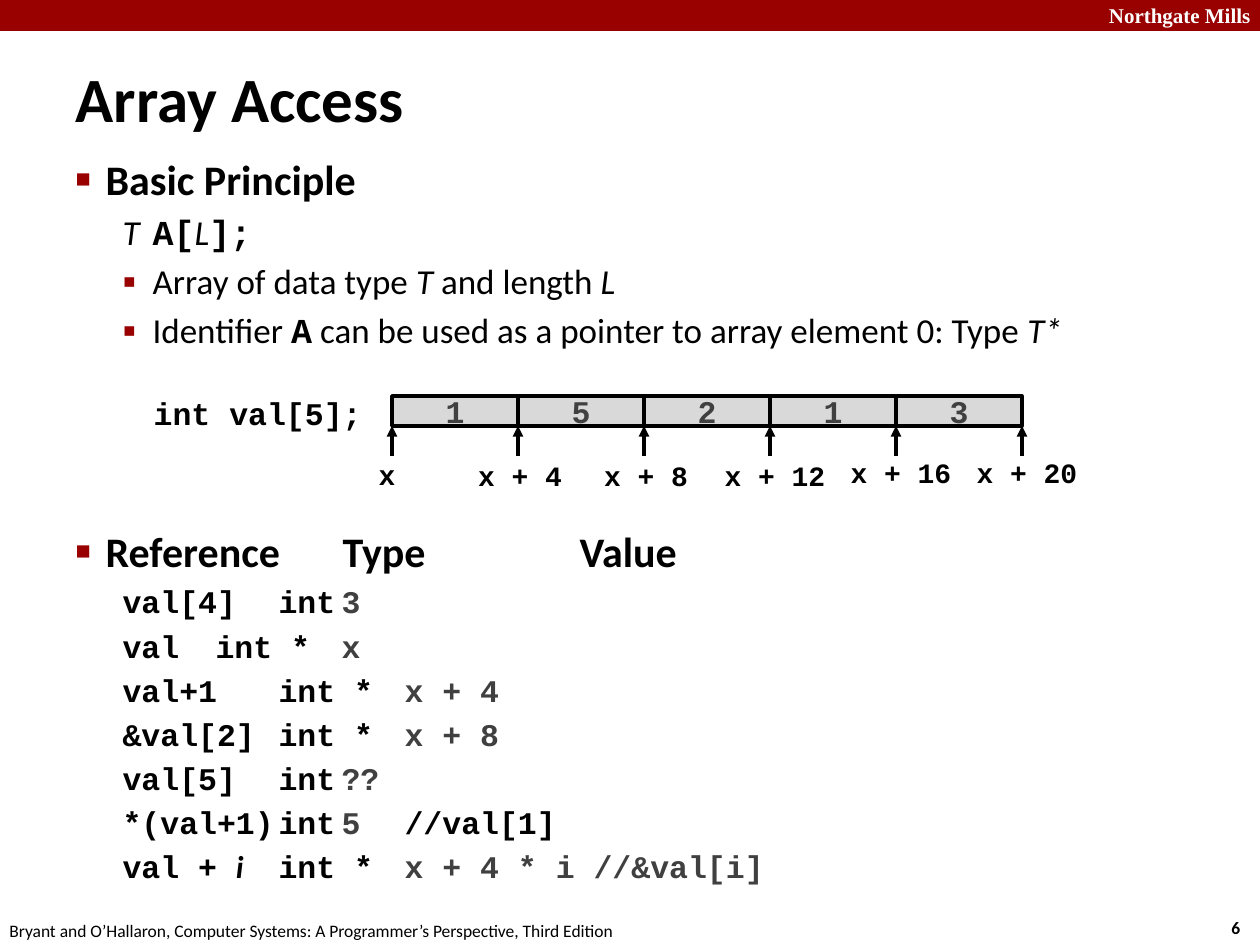
from dataclasses import dataclass

from lxml.etree import SubElement
from pptx import Presentation
from pptx.dml.color import RGBColor
from pptx.enum.shapes import MSO_CONNECTOR as Connector, MSO_SHAPE as Preset
from pptx.enum.text import MSO_ANCHOR as Anchor, MSO_AUTO_SIZE as AutoSize, PP_ALIGN as Align
from pptx.oxml.ns import qn
from pptx.util import Emu, Pt

SCALE = 914400 / 126


def px(length):
    return Emu(round(length * SCALE))


@dataclass(frozen=True)
class Theme:
    black: str = "000000"
    white: str = "FFFFFF"
    accent: str = "990000"
    answer: str = "404040"
    cell: str = "D9D9D9"
    sans: str = "Calibri"
    mono: str = "Courier New"
    serif: str = "Times New Roman"
    title: int = 36
    heading: int = 24
    point: int = 20
    code: int = 18
    address: int = 16
    header: int = 12
    footer: int = 10
    line: int = 2


@dataclass(frozen=True)
class Box:
    left: int
    top: int
    width: int
    height: int

    def inner(self, left, top, width, height):
        return Box(self.left + left, self.top + top, width, height)

    def emu(self):
        return [px(length) for length in (self.left, self.top, self.width, self.height)]


THEME = Theme()
SANS = (THEME.sans, False, False, THEME.black)
ITALIC = (THEME.sans, False, True, THEME.black)
BOLD = (THEME.sans, True, False, THEME.black)
BOLD_ITALIC = (THEME.sans, True, True, THEME.black)
CODE = (THEME.mono, True, False, THEME.black)
ANSWER = (THEME.mono, True, False, THEME.answer)
HEADER = (THEME.serif, True, False, THEME.white)

HEADING_BULLET = ("■", 60)
POINT_BULLET = ("▪", 110)
COLUMN_TABS = (267, 504)
ROW_TABS = (201, 325, 513)
REFERENCE_GAP = 100

POINTS = [
    (None, [("T\t", ITALIC), ("A[", CODE), ("L", ITALIC), ("];", CODE)]),
    (POINT_BULLET, [("Array of data type ", SANS), ("T", ITALIC),
                    (" and length ", SANS), ("L", ITALIC)]),
    (POINT_BULLET, [("Identifier ", SANS), ("A", CODE),
                    (" can be used as a pointer to array element 0: Type ", SANS),
                    ("T*", ITALIC)]),
]
REFERENCES = [
    [("val[4]\tint\t", CODE), ("3", ANSWER)],
    [("val\tint *\t", CODE), ("x", ANSWER)],
    [("val+1\tint *\t", CODE), ("x + 4", ANSWER)],
    [("&val[2]\tint *\t", CODE), ("x + 8", ANSWER)],
    [("val[5]\tint\t", CODE), ("??", ANSWER)],
    [("*(val+1)\tint\t", CODE), ("5", ANSWER), ("\t//val[1]", CODE)],
    [("val + ", CODE), ("i\t", BOLD_ITALIC), ("int *\t", CODE),
     ("x + 4 * i //&val[i]", ANSWER)],
]
VALUES = ["1", "5", "2", "1", "3"]
ADDRESSES = [("x", -5, 55), ("x + 4", 2, 56), ("x + 8", 2, 56),
             ("x + 12", 5, 56), ("x + 16", 5, 53), ("x + 20", 5, 53)]


def format_run(run, style, size):
    font = run.font
    font.name, font.bold, font.italic, color = style
    font.size = Pt(size)
    font.color.rgb = RGBColor.from_string(color)


def set_text(frame, text, style, size, align=Align.LEFT):
    frame.text = text
    paragraph = frame.paragraphs[0]
    paragraph.alignment = align
    format_run(paragraph.runs[0], style, size)


def add_label(shapes, box, text, style, size, align=Align.LEFT):
    shape = shapes.add_textbox(*box.emu())
    shape.text_frame.word_wrap = True
    set_text(shape.text_frame, text, style, size, align)


def add_rectangle(shapes, box, fill):
    shape = shapes.add_shape(Preset.RECTANGLE, *box.emu())
    shape.shadow.inherit = False
    shape.fill.solid()
    shape.fill.fore_color.rgb = RGBColor.from_string(fill)
    return shape


def add_arrow(shapes, x, start, end):
    arrow = shapes.add_connector(Connector.STRAIGHT, px(x), px(start), px(x), px(end))
    arrow.line.color.rgb = RGBColor.from_string(THEME.black)
    arrow.line.width = Pt(THEME.line)
    SubElement(arrow.line._get_or_add_ln(), qn("a:tailEnd"), type="triangle")
    SubElement(arrow._element.spPr, qn("a:effectLst"))


def format_paragraph(paragraph, level, bullet, tabs, gap):
    paragraph.level = level
    properties = paragraph._p.get_or_add_pPr()
    properties.set("marL", str(px(77 if level else 30)))
    properties.set("indent", str(-px(30)))
    before = SubElement(properties, qn("a:spcBef"))
    if gap:
        SubElement(before, qn("a:spcPts"), val=str(gap * 100))
    else:
        SubElement(before, qn("a:spcPct"), val="20000")
    if bullet:
        character, percent = bullet
        color = SubElement(properties, qn("a:buClr"))
        SubElement(color, qn("a:srgbClr"), val=THEME.accent)
        SubElement(properties, qn("a:buSzPct"), val=str(percent * 1000))
        SubElement(properties, qn("a:buChar"), char=character)
    else:
        SubElement(properties, qn("a:buNone"))
    if tabs:
        stops = SubElement(properties, qn("a:tabLst"))
        for tab in tabs:
            SubElement(stops, qn("a:tab"), pos=str(px(tab)), algn="l")


def add_line(frame, parts, size, level=1, bullet=None, tabs=(), gap=0):
    paragraph = frame.paragraphs[0]
    if paragraph.runs:
        paragraph = frame.add_paragraph()
    format_paragraph(paragraph, level, bullet, tabs, gap)
    for text, style in parts:
        run = paragraph.add_run()
        run.text = text
        format_run(run, style, size)


def place_header(slide, box):
    bar = add_rectangle(slide.shapes, box, THEME.accent)
    bar.line.fill.background()
    add_label(slide.shapes, box.inner(1063, -4, 200, 38), "Northgate Mills",
              HEADER, THEME.header, Align.RIGHT)


def place_footer(slide, box):
    add_label(slide.shapes, box.inner(1219, 0, 47, 34), "6", BOLD, THEME.footer)
    add_label(slide.shapes, box.inner(-3, 3, 660, 34),
              "Bryant and O’Hallaron, Computer Systems: A Programmer’s Perspective, Third Edition",
              SANS, THEME.footer)


def place_title(slide, box):
    title = slide.shapes.title
    title.left, title.top, title.width, title.height = box.emu()
    frame = title.text_frame
    frame.auto_size = AutoSize.NONE
    frame.vertical_anchor = Anchor.MIDDLE
    set_text(frame, "Array Access", BOLD, THEME.title)


def place_body(slide, box):
    body = slide.placeholders[1]
    body.left, body.top, body.width, body.height = box.emu()
    frame = body.text_frame
    frame.auto_size = AutoSize.NONE
    frame.vertical_anchor = Anchor.TOP
    add_line(frame, [("Basic Principle", BOLD)], THEME.heading, 0, HEADING_BULLET)
    for bullet, parts in POINTS:
        add_line(frame, parts, THEME.point, bullet=bullet)
    add_line(frame, [("Reference\tType\tValue", BOLD)], THEME.heading, 0,
             HEADING_BULLET, COLUMN_TABS, REFERENCE_GAP)
    for parts in REFERENCES:
        add_line(frame, parts, THEME.code, tabs=ROW_TABS)


def place_array(slide, box):
    add_label(slide.shapes, box.inner(-252, -8, 234, 50), "int val[5];",
              CODE, THEME.code, Align.RIGHT)
    shapes = slide.shapes.add_group_shape().shapes
    step = box.width // len(VALUES)
    for index, value in enumerate(VALUES):
        cell = add_rectangle(shapes, box.inner(index * step, 0, step, box.height), THEME.cell)
        cell.line.color.rgb = RGBColor.from_string(THEME.black)
        cell.line.width = Pt(THEME.line)
        frame = cell.text_frame
        frame.word_wrap = False
        frame.vertical_anchor = Anchor.MIDDLE
        set_text(frame, value, ANSWER, THEME.code, Align.CENTER)
    for index, (address, shift, top) in enumerate(ADDRESSES):
        edge = index * step
        add_label(shapes, box.inner(edge + shift - 68, top, 136, 47), address,
                  CODE, THEME.address, Align.CENTER)
        add_arrow(shapes, box.left + edge, box.top + 60, box.top + box.height)


def main():
    presentation = Presentation()
    presentation.slide_width, presentation.slide_height = px(1260), px(945)
    slide = presentation.slides.add_slide(presentation.slide_layouts[1])
    place_header(slide, Box(0, 0, 1260, 31))
    place_footer(slide, Box(0, 911, 1260, 34))
    place_title(slide, Box(63, 58, 766, 79))
    place_body(slide, Box(63, 147, 1111, 788))
    place_array(slide, Box(392, 396, 630, 30))
    presentation.save("out.pptx")


if __name__ == "__main__":
    main()
